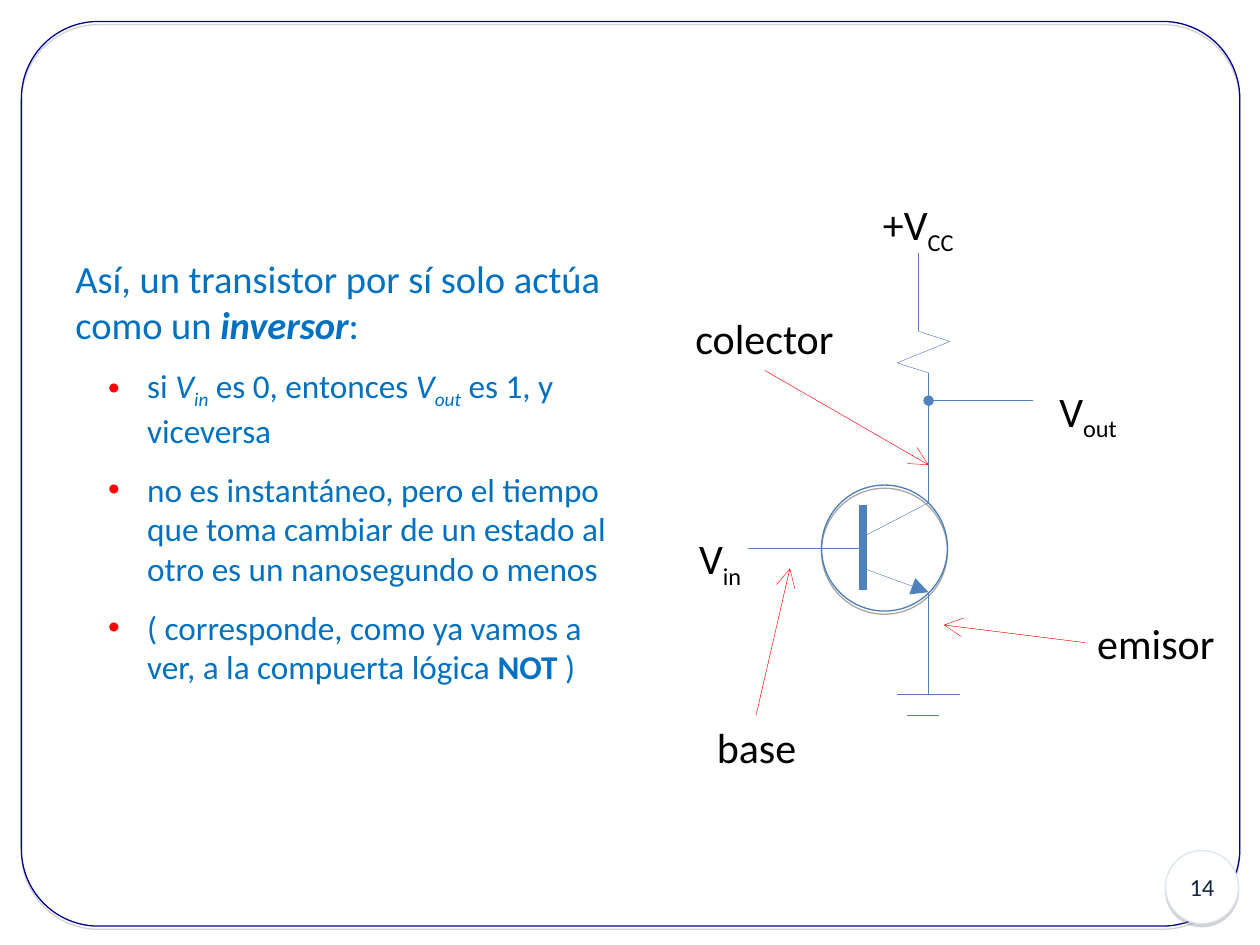
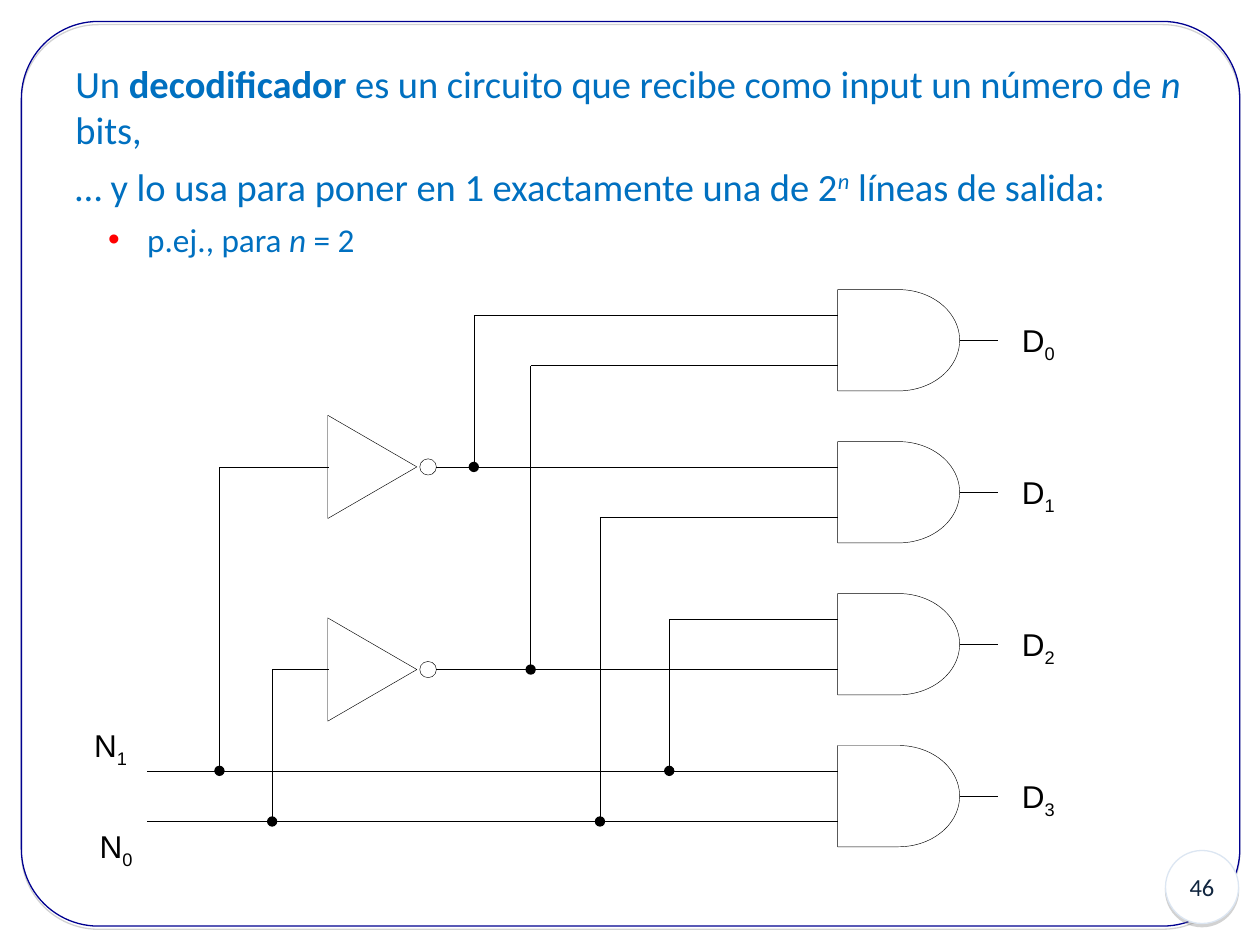
from dataclasses import dataclass
from itertools import pairwise

from lxml.etree import SubElement
from pptx import Presentation
from pptx.dml.color import RGBColor
from pptx.enum.shapes import MSO_CONNECTOR, MSO_SHAPE
from pptx.enum.text import MSO_ANCHOR, MSO_AUTO_SIZE, PP_ALIGN
from pptx.oxml.ns import qn
from pptx.util import Inches, Pt

NAVY, PALE, INK = "000090", "DCE6F2", "10253F"
TEXT, STEEL, RING = "0070C0", "4F81BD", "4A7EBB"
RED, BLACK, WHITE, GREY = "FF0000", "000000", "FFFFFF", "808080"
THIN = 0.25


@dataclass
class Grid:
    """A box in inches, split into columns and rows."""
    left: float
    top: float
    width: float
    height: float
    cols: int
    rows: int

    def size(self, col, row):
        return (Inches(col * self.width / self.cols),
                Inches(row * self.height / self.rows))

    def spot(self, col, row):
        wide, high = self.size(col, row)
        return Inches(self.left) + wide, Inches(self.top) + high

    def area(self, col, row, wide, high):
        return *self.spot(col, row), *self.size(wide, high)


PAGE = Grid(0, 0, 10, 7.5, 40, 30)


def paint(color):
    return RGBColor.from_string(color)


def add_shadow(shape, color):
    effects = SubElement(shape._element.spPr, qn("a:effectLst"))
    outer = SubElement(effects, qn("a:outerShdw"), blurRad="0", dist=str(Pt(1.8)),
                       dir="5400000", rotWithShape="0")
    tone = SubElement(outer, qn("a:srgbClr"), val=color)
    SubElement(tone, qn("a:alpha"), val="35000")


def add_form(slide, kind, area, color, width=THIN, fill=None, shade=None):
    shape = slide.shapes.add_shape(kind, *area)
    if fill:
        shape.fill.solid()
        shape.fill.fore_color.rgb = paint(fill)
    else:
        shape.fill.background()
    shape.line.color.rgb = paint(color)
    shape.line.width = Pt(width)
    if shade:
        add_shadow(shape, shade)
    else:
        shape.shadow.inherit = False
    return shape


def add_wire(slide, grid, start, end, color, width=THIN, head=None, tail=None):
    wire = slide.shapes.add_connector(
        MSO_CONNECTOR.STRAIGHT, *grid.spot(*start), *grid.spot(*end))
    wire.line.color.rgb = paint(color)
    wire.line.width = Pt(width)
    stroke = wire.line._get_or_add_ln()
    for tag, tip in (("a:headEnd", head), ("a:tailEnd", tail)):
        if tip:
            size = "med" if tip == "oval" else "lg"
            SubElement(stroke, qn(tag), type=tip, w=size, len=size)
    SubElement(wire._element.spPr, qn("a:effectLst"))
    return wire


def set_font(para, size, color, face="Calibri"):
    para.font.size = Pt(size)
    para.font.name = face
    para.font.color.rgb = paint(color)


def add_runs(para, runs):
    """Each run is (text, marks): b bold, i italic, _ subscript, ^ superscript."""
    for text, marks in runs:
        run = para.add_run()
        run.text = text
        if "b" in marks:
            run.font.bold = True
        if "i" in marks:
            run.font.italic = True
        for mark, shift in (("_", "-25000"), ("^", "30000")):
            if mark in marks:
                run._r.get_or_add_rPr().set("baseline", shift)


def add_label(slide, area, text, sub="", size=24, face="Calibri"):
    box = slide.shapes.add_textbox(*area)
    frame = box.text_frame
    frame.word_wrap = False
    frame.auto_size = MSO_AUTO_SIZE.SHAPE_TO_FIT_TEXT
    para = frame.paragraphs[0]
    set_font(para, size, BLACK, face)
    add_runs(para, [(text, ""), (sub, "_")] if sub else [(text, "")])


def add_bullet(para):
    para.level = 1
    props = para._p.get_or_add_pPr()
    props.set("marL", str(Inches(0.57)))
    props.set("indent", str(Inches(-0.31)))
    SubElement(SubElement(props, qn("a:buClr")), qn("a:srgbClr"), val=RED)
    SubElement(props, qn("a:buFont"), typeface="Arial")
    SubElement(props, qn("a:buChar"), char="•")


def add_body(slide, area, gap, items):
    """Each item is (is bullet, runs)."""
    frame = slide.shapes.add_textbox(*area).text_frame
    frame.word_wrap = True
    frame.vertical_anchor = MSO_ANCHOR.MIDDLE
    for num, (dotted, runs) in enumerate(items):
        para = frame.add_paragraph() if num else frame.paragraphs[0]
        if dotted:
            add_bullet(para)
        set_font(para, 19 if dotted else 22, TEXT)
        if num:
            para.space_before = Pt(gap)
        add_runs(para, runs)


def add_page(deck, num):
    slide = deck.slides.add_slide(deck.slide_layouts[6])
    # Rounded border
    edge = add_form(slide, MSO_SHAPE.ROUNDED_RECTANGLE,
                    PAGE.area(0.68, 0.68, 38.68, 28.72), NAVY, 0.75, shade=GREY)
    edge.adjustments[0] = 0.085
    # Page number
    disc = add_form(slide, MSO_SHAPE.OVAL, PAGE.area(37, 27, 2.32, 2.32),
                    PALE, 0.75, WHITE, GREY)
    frame = disc.text_frame
    frame.word_wrap = True
    frame.vertical_anchor = MSO_ANCHOR.MIDDLE
    para = frame.paragraphs[0]
    para.text = str(num)
    para.alignment = PP_ALIGN.CENTER
    set_font(para, 14, INK)
    return slide


def draw_switch(slide, grid):
    # Transistor
    add_form(slide, MSO_SHAPE.OVAL, grid.area(4.6, 9.36, 4, 4), RING, 0.75,
             shade=BLACK)
    add_wire(slide, grid, (5.92, 10), (5.92, 12.68), STEEL, 4.5)
    add_wire(slide, grid, (5.92, 12), (8, 12.76), STEEL, tail="triangle")
    # Plain wires and ground
    for start, end in (((5.92, 11.36), (2.28, 11.36)), ((5.92, 11), (8, 9.92)),
                       ((8, 9.92), (8, 5.8)), ((8, 12.76), (8, 16)),
                       ((7, 16), (9, 16)), ((7.32, 16.68), (8.32, 16.68))):
        add_wire(slide, grid, start, end, STEEL)
    # Supply and resistor
    bends = (7.68, 2), (7.68, 4.48), (8.68, 4.8), (7, 5.48), (8, 5.8)
    for start, end in pairwise(bends):
        add_wire(slide, grid, start, end, STEEL)
    # Output tap
    add_wire(slide, grid, (11.32, 6.68), (8, 6.68), STEEL, tail="oval")
    # Pointers
    for start, end in (((2.8, 5.72), (8, 8.72)), ((2.52, 16.68), (3.6, 12)),
                       ((12.96, 14.36), (8.48, 13.8))):
        add_wire(slide, grid, start, end, RED, tail="arrow")
    # Labels, with room to stay on one line
    for col, row, wide, text, sub in (
            (6.16, 0.08, 3.2, "+V", "CC"), (0.32, 10.68, 2.4, "V", "in"),
            (11.76, 6, 2.8, "V", "out"), (0.2, 3.68, 5.2, "colector", ""),
            (0.88, 16.68, 3.4, "base", ""), (12.96, 13.36, 4.6, "emisor", "")):
        add_label(slide, grid.area(col, row, wide, 2.24 if sub else 2), text, sub)


def draw_decoder(slide, grid):
    wall, out = 10.96, 5.16
    low, high = 2.8, 2.04
    taps = 5.71, 6.53, 7.53, 8.53

    def label(col, row, text, sub):
        add_label(slide, grid.area(col, row, 0.88, 1.09), text, str(sub), 18, "Arial")

    # AND gates with their outputs
    for num in range(4):
        row = 3 * num
        gate = add_form(slide, MSO_SHAPE.FLOWCHART_DELAY,
                        grid.area(wall, row - 0.5, 1.76, 2), BLACK)
        wire = add_wire(slide, grid, (12.72, row + 0.5), (13.27, row + 0.5), BLACK)
        wire.begin_connect(gate, 3)
        label(13.44, row, "D", num)
    # Gate inputs
    for col, row in ((taps[0], 0), (taps[1], 1), (out, 3), (taps[2], 4),
                     (taps[3], 6), (out, 7), (1, 9), (1, 10)):
        add_wire(slide, grid, (col, row), (wall, row), BLACK)
    # Inverters
    for col, row in ((high, 3), (low, 7)):
        add_wire(slide, grid, (col, row), (3.62, row), BLACK)
        cone = add_form(slide, MSO_SHAPE.ISOSCELES_TRIANGLE,
                        grid.area(3.5, row - 0.88, 1.49, 1.76), BLACK)
        cone.rotation = 90
        add_form(slide, MSO_SHAPE.OVAL, grid.area(4.93, row - 0.16, 0.24, 0.32), BLACK)
    # Branches with dots
    for col, start, end in ((taps[0], 3, 0), (taps[1], 7, 1), (taps[2], 10, 4),
                            (taps[3], 9, 6), (low, 10, 7), (high, 9, 3)):
        add_wire(slide, grid, (col, start), (col, end), BLACK, head="oval")
    # Input names
    label(0.05, 8, "N", 1)
    label(0.13, 9.98, "N", 0)


def main():
    deck = Presentation()
    deck.slide_width, deck.slide_height = PAGE.size(PAGE.cols, PAGE.rows)

    # Transistor as an inverter
    slide = add_page(deck, 14)
    add_body(slide, PAGE.area(2, 1.2, 18, 27.48), 10.5, [
        (False, [("Así, un transistor por sí solo actúa como un ", ""),
                 ("inversor", "bi"), (":", "")]),
        (True, [("si ", ""), ("V", "i"), ("in", "i_"), (" es 0, entonces ", ""),
                ("V", "i"), ("out", "i_"), (" es 1, y viceversa", "")]),
        (True, [("no es instantáneo, pero el tiempo que toma cambiar de un "
                 "estado al otro es un nanosegundo o menos", "")]),
        (True, [("( corresponde, como ya vamos a ver, a la compuerta lógica ", ""),
                ("NOT", "b"), (" )", "")])])
    draw_switch(slide, Grid(5.37, 1.51, 4.5, 5, 18, 20))

    # Decoder
    slide = add_page(deck, 46)
    draw_decoder(slide, Grid(0.62, 2.5, 7.7, 4.02, 14, 10))
    add_body(slide, PAGE.area(2, 1.2, 36, 7.72), 6, [
        (False, [("Un ", ""), ("decodificador", "b"),
                 (" es un circuito que recibe como input un número de ", ""),
                 ("n", "i"), (" bits,", "")]),
        (False, [("… y lo usa para poner en 1 exactamente una de 2", ""),
                 ("n", "i^"), (" líneas de salida:", "")]),
        (True, [("p.ej., para ", ""), ("n", "i"), (" = 2", "")])])
    deck.save("out.pptx")


if __name__ == "__main__":
    main()
